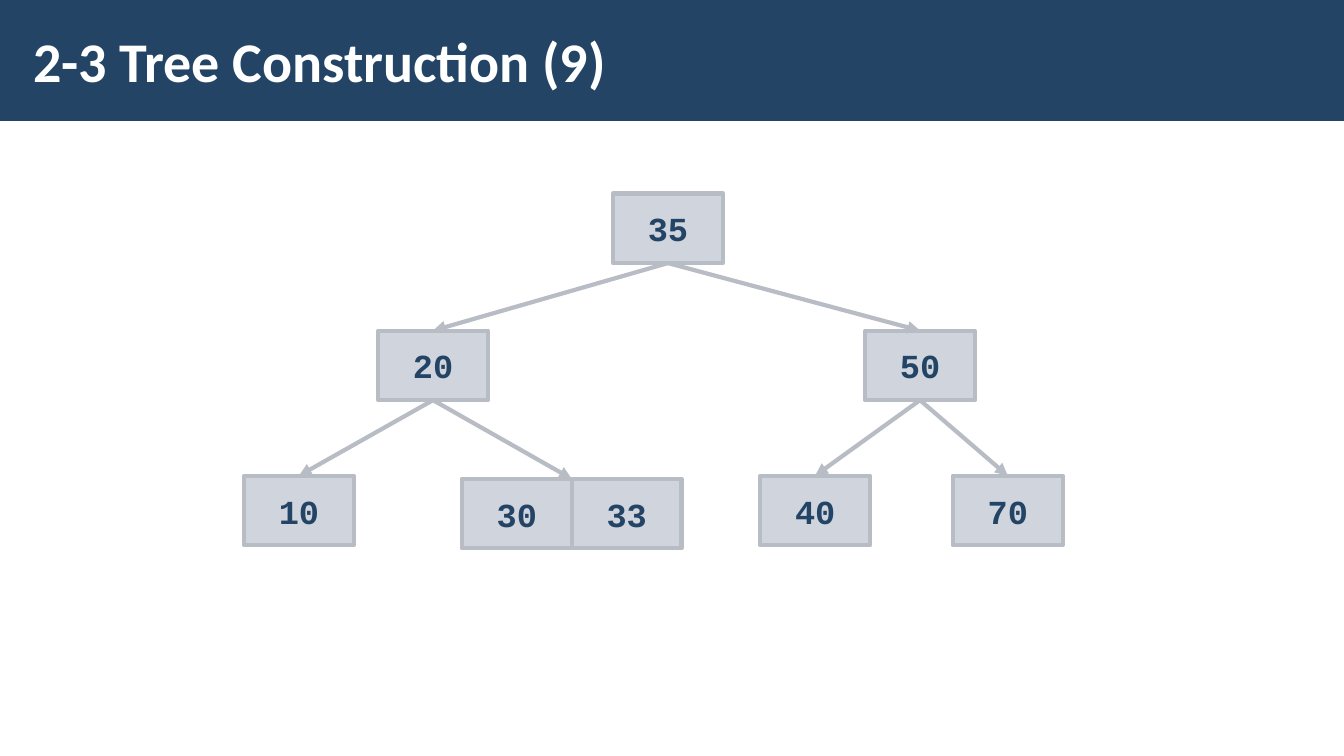
from lxml import etree
from pptx import Presentation
from pptx.dml.color import RGBColor
from pptx.enum.shapes import MSO_CONNECTOR, MSO_SHAPE
from pptx.enum.text import MSO_ANCHOR, PP_ALIGN
from pptx.oxml.ns import qn
from pptx.util import Inches, Pt

COLORS = {"navy": "234465", "white": "FFFFFF", "key": "A1AABC", "line": "B8BCC4"}
KEY_W, KEY_H = 1.09, 0.69

# Each node: its keys, left and top in inches
NODES = {
    "root": (["35"], 6.08, 1.92),
    "left": (["20"], 3.75, 3.28),
    "right": (["50"], 8.58, 3.28),
    "leaf 1": (["10"], 2.42, 4.72),
    "leaf 2": (["30", "33"], 4.58, 4.75),
    "leaf 3": (["40"], 7.54, 4.72),
    "leaf 4": (["70"], 9.45, 4.72),
}
CHILDREN = {
    "root": ["left", "right"],
    "left": ["leaf 1", "leaf 2"],
    "right": ["leaf 3", "leaf 4"],
}


def rgb(name):
    return RGBColor.from_string(COLORS[name])


def set_text(sp, text, *, size, font, color, align, margins):
    tf = sp.text_frame
    tf.word_wrap = True
    tf.vertical_anchor = MSO_ANCHOR.MIDDLE
    tf.margin_left = tf.margin_right = Inches(margins[0])
    tf.margin_top = tf.margin_bottom = Inches(margins[1])
    p = tf.paragraphs[0]
    p.alignment = align
    r = p.add_run()
    r.text = text
    r.font.size = Pt(size)
    r.font.name = font
    r.font.bold = True
    r.font.color.rgb = rgb(color)


def add_rect(s, left, top, width, height, fill):
    sp = s.shapes.add_shape(MSO_SHAPE.RECTANGLE, Inches(left), Inches(top),
                            Inches(width), Inches(height))
    sp.shadow.inherit = False
    sp.fill.solid()
    sp.fill.fore_color.rgb = rgb(fill)
    sp.line.fill.background()
    return sp


def add_title(s, text):
    add_rect(s, 0, 0, 13.33, 1.2, "navy")
    sp = s.shapes.add_textbox(Inches(0.21), Inches(0.11), Inches(10.4), Inches(0.97))
    set_text(sp, text, size=40, font="Calibri", color="white",
             align=PP_ALIGN.LEFT, margins=(0.12, 0.04))


def add_node(s, keys, left, top):
    for i, key in enumerate(keys):
        sp = add_rect(s, left + i * KEY_W, top, KEY_W, KEY_H, "key")
        # Half-transparent fill
        color = sp.fill._xPr.find(qn("a:solidFill"))[0]
        etree.SubElement(color, qn("a:alpha")).set("val", "50000")
        sp.line.color.rgb = rgb("line")
        sp.line.width = Pt(3)
        set_text(sp, key, size=24, font="Courier New", color="navy",
                 align=PP_ALIGN.CENTER, margins=(0.1, 0.05))


def center_x(node):
    keys, left, _ = node
    return left + len(keys) * KEY_W / 2


def add_edge(s, parent, child):
    c = s.shapes.add_connector(
        MSO_CONNECTOR.STRAIGHT,
        Inches(center_x(parent)), Inches(parent[2] + KEY_H),
        Inches(center_x(child)), Inches(child[2]))
    c.line.color.rgb = rgb("line")
    c.line.width = Pt(3)
    # Arrowhead at the child, no shadow
    etree.SubElement(c.line._get_or_add_ln(), qn("a:tailEnd")).set("type", "triangle")
    etree.SubElement(c._element.spPr, qn("a:effectLst"))


def main():
    prs = Presentation()
    prs.slide_width, prs.slide_height = Inches(13.33), Inches(7.5)
    s = prs.slides.add_slide(prs.slide_layouts[6])

    add_title(s, "2-3 Tree Construction (9)")
    for node in NODES.values():
        add_node(s, *node)
    for parent, children in CHILDREN.items():
        for child in children:
            add_edge(s, NODES[parent], NODES[child])

    prs.save("out.pptx")


if __name__ == "__main__":
    main()
